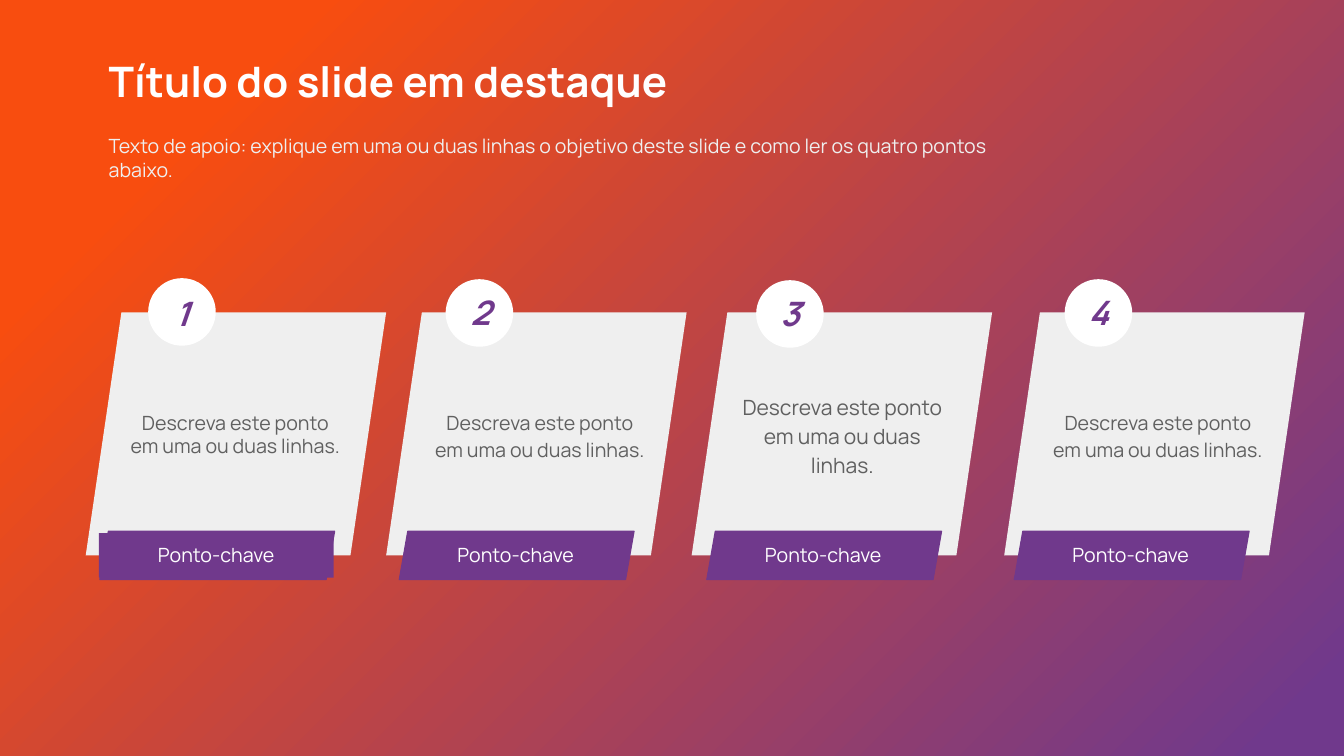
from pptx import Presentation
from pptx.dml.color import RGBColor
from pptx.enum import shapes, text
from pptx.util import Inches, Pt

ORANGE, PURPLE = "F84D0F", "70398C"
WHITE, PALE, GREY = "FFFFFF", "EFEFEF", "606060"
FONT = "Manrope"
KIND = shapes.MSO_SHAPE
MID = text.MSO_ANCHOR.MIDDLE
CENTER = text.PP_ALIGN.CENTER

BODY = "Descreva este ponto em uma ou duas linhas."
LABEL = "Ponto-chave"

# Left edges of card, disc, body, number, tab; tops of disc and number;
# body width, size and line spacing
POINTS = [
    (0.85, 1.47, 1.13, 1.46, 0.99, 2.76, 2.76, 2.41, 14, None),
    (3.83, 4.42, 4.15, 4.42, 3.96, 2.77, 2.75, 2.41, 14, 1.15),
    (6.86, 7.50, 7.19, 7.49, 7.01, 2.78, 2.76, 2.33, 15, 1.15),
    (9.96, 10.56, 10.28, 10.55, 10.06, 2.77, 2.75, 2.41, 14, 1.15),
]


def paint(fill, color):
    fill.solid()
    fill.fore_color.rgb = RGBColor.from_string(color)


def add_back(slide):
    fill = slide.background.fill
    fill.gradient()
    fill.gradient_angle = 315
    for stop, color, pos in zip(fill.gradient_stops, (ORANGE, PURPLE), (0.15, 0.96)):
        stop.color.rgb = RGBColor.from_string(color)
        stop.position = pos


def add_form(slide, kind, box, color, slant=None, line=False):
    form = slide.shapes.add_shape(kind, *map(Inches, box))
    form.shadow.inherit = False
    paint(form.fill, color)
    if line:
        paint(form.line.fill, color)
        form.line.width = Pt(0.75)
    else:
        form.line.fill.background()
    if slant is not None:
        form.adjustments[0] = slant


def add_text(slide, words, box, size, color, pad=(0.1, 0.1), align=None,
             anchor=text.MSO_ANCHOR.TOP, space=None, bold=None, italic=None):
    """Add a wrapped text box; pad is the side and the top inset."""
    item = slide.shapes.add_textbox(*map(Inches, box))
    frame = item.text_frame
    frame.word_wrap = True
    frame.vertical_anchor = anchor
    frame.margin_left = frame.margin_right = Inches(pad[0])
    frame.margin_top = frame.margin_bottom = Inches(pad[1])
    para = frame.paragraphs[0]
    para.text = words
    para.alignment = align
    para.line_spacing = space
    font = para.font
    font.name, font.size = FONT, Pt(size)
    font.bold, font.italic = bold, italic
    font.color.rgb = RGBColor.from_string(color)
    return item


def add_point(slide, num, point):
    card, disc, body, digit, tab, top, rise, width, size, space = point
    add_form(slide, KIND.PARALLELOGRAM, (card, 3.1, 2.98, 2.41), PALE, 0.147)
    add_form(slide, KIND.PARALLELOGRAM, (tab, 5.27, 2.33, 0.48), PURPLE, 0.176, True)
    add_form(slide, KIND.OVAL, (disc, top, 0.67, 0.67), WHITE)
    add_text(slide, BODY, (body, 3.1, width, 2.41), size, GREY, (0.13, 0.07),
             CENTER, MID, space)
    add_text(slide, str(num), (digit, rise, 0.69, 0.69), 24, PURPLE,
             align=CENTER, anchor=MID, bold=True, italic=True)
    return add_text(slide, LABEL, (tab - 0.01, 5.29, 2.33, 0.44), 14, WHITE,
                    align=CENTER)


def main():
    deck = Presentation()
    deck.slide_width, deck.slide_height = Inches(13.33), Inches(7.5)
    slide = deck.slides.add_slide(deck.slide_layouts[6])
    add_back(slide)
    add_text(slide, "Título do slide em destaque", (0.98, 0.5, 11.79, 0.61),
             30, WHITE, (0.1, 0.05), bold=True)
    add_text(slide, "Texto de apoio: explique em uma ou duas linhas o objetivo "
             "deste slide e como ler os quatro pontos abaixo.",
             (0.98, 1.23, 9.16, 1.14), 14, PALE)
    labels = [add_point(slide, num, point) for num, point in enumerate(POINTS, 1)]
    paint(labels[0].fill, PURPLE)
    deck.save("out.pptx")


if __name__ == "__main__":
    main()
